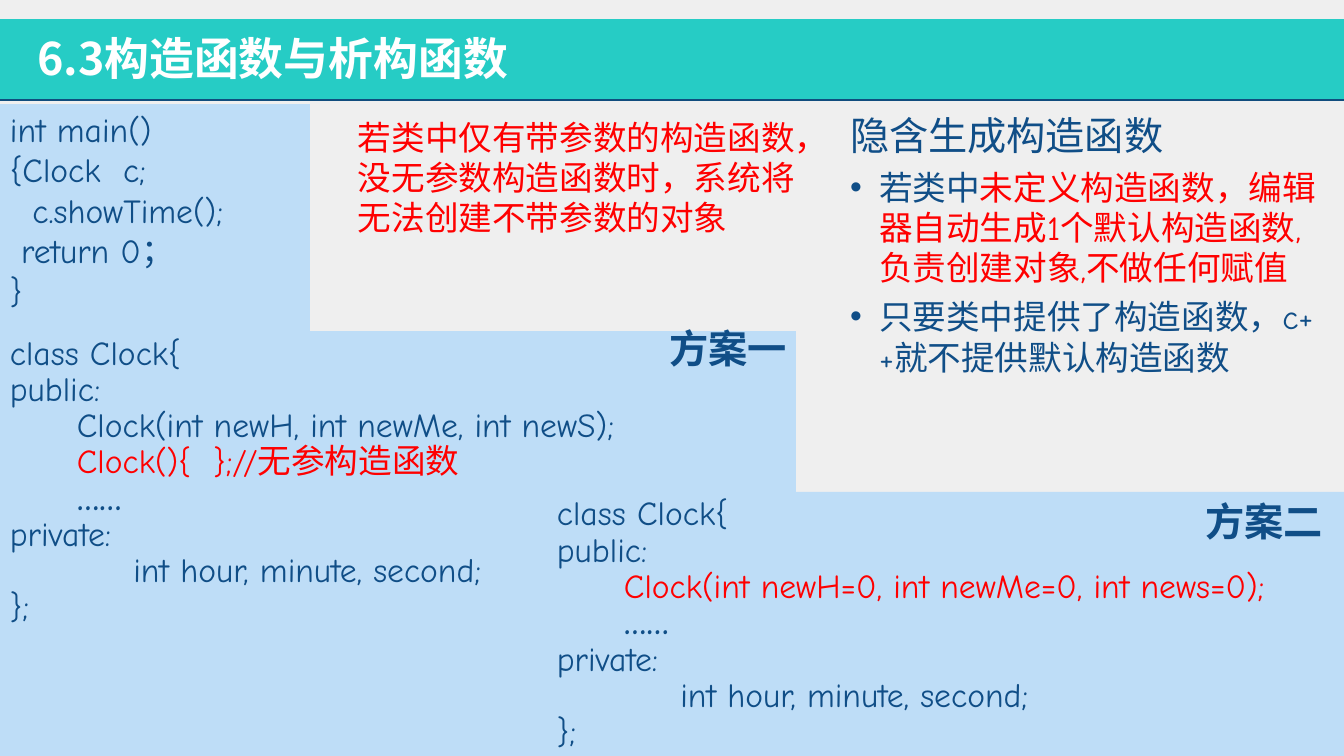
import pptx
import pptx.dml.color
import pptx.enum.shapes
import pptx.enum.text
import pptx.oxml.ns
import pptx.util
from lxml import etree

SCALE = 914400 / 100.8
COLOURS = {"paper": "EFEFEF", "band": "26CCC5", "rule": "104D7E", "panel": "BEDDF7",
           "ink": "104E87", "alert": "FF0000", "white": "FFFFFF"}
CODE_FONT = "Comic Neue"
TEXT_FONT = "Noto Sans CJK JP"
ALIGN = pptx.enum.text.PP_ALIGN
ANCHOR = pptx.enum.text.MSO_ANCHOR

MAIN_CODE = ["int main()", "{Clock  c;", "  c.showTime();", " return 0；", "}"]
CLASS_START = ["class Clock{", "public:"]
CLASS_END = [[("\t", "ink"), ("……", "ink", True)], "private:",
             "           int hour, minute, second;", "};"]
PLAN_ONE = ["\tClock(int newH, int newMe, int newS);",
            [("\tClock(){  };//无参构造函数", "alert")]]
PLAN_TWO = [[("\t", "ink"), ("Clock(int newH=0, int newMe=0, int news=0);", "alert")]]
IMPLICIT_RULES = [
    "隐含生成构造函数",
    [("若类中", "ink"),
     ("未定义构造函数，编辑器自动生成1个默认构造函数,负责创建对象,不做任何赋值", "alert")],
    "只要类中提供了构造函数，c++就不提供默认构造函数",
]


def px(length):
    return pptx.util.Emu(round(length * SCALE))


def rgb(name):
    return pptx.dml.color.RGBColor.from_string(COLOURS[name])


def add_element(parent, tag, **attributes):
    return etree.SubElement(parent, pptx.oxml.ns.qn(tag), **attributes)


class SlideBuilder:
    def __init__(self, deck):
        self.page = deck.slides.add_slide(deck.slide_layouts[1])
        self.page.background.fill.solid()
        self.page.background.fill.fore_color.rgb = rgb("paper")

    def panel(self, left, top, width, height, colour):
        box = self.page.shapes.add_shape(
            pptx.enum.shapes.MSO_SHAPE.RECTANGLE, px(left), px(top), px(width), px(height))
        box.shadow.inherit = False
        box.fill.solid()
        box.fill.fore_color.rgb = rgb(colour)
        box.line.fill.background()
        return box

    def rule(self, top, width):
        line = self.page.shapes.add_connector(
            pptx.enum.shapes.MSO_CONNECTOR.STRAIGHT, 0, px(top), px(width), px(top))
        line.line.color.rgb = rgb("rule")
        line.line.width = pptx.util.Pt(2)
        add_element(line.element.spPr, "a:effectLst")

    def style(self, para, font, size, bold=False, colour="ink"):
        for span in para.runs:
            span.font.name = font
            span.font.size = pptx.util.Pt(size)
            span.font.bold = bold
            span.font.color.rgb = rgb(colour)
            add_element(span._r.get_or_add_rPr(), "a:ea", typeface=TEXT_FONT)

    def fill_paragraph(self, para, content, font, size):
        if isinstance(content, str):
            content = [(content, "ink")]
        for text, colour, *bold in content:
            para.add_run().text = text
        self.style(para, font, size)
        for span, (text, colour, *bold) in zip(para.runs, content):
            span.font.color.rgb = rgb(colour)
            span.font.bold = bool(bold)

    def paragraphs(self, frame, count):
        return [frame.paragraphs[0]] + [frame.add_paragraph() for _ in range(count - 1)]

    def code(self, left, top, width, height, lines, spacing=1.0):
        frame = self.panel(left, top, width, height, "panel").text_frame
        frame.word_wrap = True
        frame.vertical_anchor = ANCHOR.TOP
        for para, content in zip(self.paragraphs(frame, len(lines)), lines):
            para.alignment = ALIGN.LEFT
            para.line_spacing = spacing
            tabs = add_element(para._p.get_or_add_pPr(), "a:tabLst")
            add_element(tabs, "a:tab", pos=str(px(67)), algn="l")
            self.fill_paragraph(para, content, CODE_FONT, 24)

    def text(self, left, top, width, height, words, size, colour="ink", bold=False,
             align=ALIGN.LEFT, anchor=ANCHOR.TOP):
        box = self.page.shapes.add_textbox(px(left), px(top), px(width), px(height))
        frame = box.text_frame
        frame.word_wrap = True
        frame.vertical_anchor = anchor
        frame.text = words
        frame.paragraphs[0].alignment = align
        self.style(frame.paragraphs[0], TEXT_FONT, size, bold, colour)

    def place(self, holder, left, top, width, height):
        holder.left, holder.top = px(left), px(top)
        holder.width, holder.height = px(width), px(height)
        holder.element.getparent().append(holder.element)
        holder.text_frame.word_wrap = True
        holder.text_frame.auto_size = pptx.enum.text.MSO_AUTO_SIZE.NONE
        holder.text_frame.vertical_anchor = ANCHOR.MIDDLE
        return holder.text_frame

    def title(self, left, top, width, height, words):
        frame = self.place(self.page.shapes.title, left, top, width, height)
        frame.text = words
        frame.paragraphs[0].alignment = ALIGN.LEFT
        self.style(frame.paragraphs[0], TEXT_FONT, 32, True, "white")

    def bullets(self, left, top, width, height, items):
        frame = self.place(self.page.placeholders[1], left, top, width, height)
        for index, para in enumerate(self.paragraphs(frame, len(items))):
            para.space_before = pptx.util.Pt(0)
            para.space_after = pptx.util.Pt(6)
            properties = para._p.get_or_add_pPr()
            indent = px(29) if index else 0
            properties.set("marL", str(indent))
            properties.set("indent", str(-indent))
            if index:
                add_element(properties, "a:buFont", typeface="Arial")
                add_element(properties, "a:buChar", char="•")
            else:
                add_element(properties, "a:buNone")
            self.fill_paragraph(para, items[index], CODE_FONT, 24 if index else 28)


def main():
    deck = pptx.Presentation()
    deck.slide_width, deck.slide_height = px(1344), px(756)
    slide = SlideBuilder(deck)
    slide.panel(0, 19, 1344, 81, "band")
    slide.rule(100, 1344)
    slide.title(27, 25, 885, 65, "6.3构造函数与析构函数")
    slide.code(0, 104, 310, 238, MAIN_CODE)
    slide.text(348, 111, 461, 132, "若类中仅有带参数的构造函数，没无参数构造函数时，系统将无法创建不带参数的对象",
               24, "alert", anchor=ANCHOR.MIDDLE)
    slide.bullets(840, 105, 504, 278, IMPLICIT_RULES)
    slide.code(0, 331, 796, 425, CLASS_START + PLAN_ONE + CLASS_END, 0.9)
    slide.code(547, 492, 797, 264, CLASS_START + PLAN_TWO + CLASS_END, 0.9)
    slide.text(597, 319, 200, 57, "方案一", 28, bold=True, align=ALIGN.RIGHT)
    slide.text(1133, 492, 200, 57, "方案二", 28, bold=True, align=ALIGN.RIGHT)
    deck.save("out.pptx")


if __name__ == "__main__":
    main()
